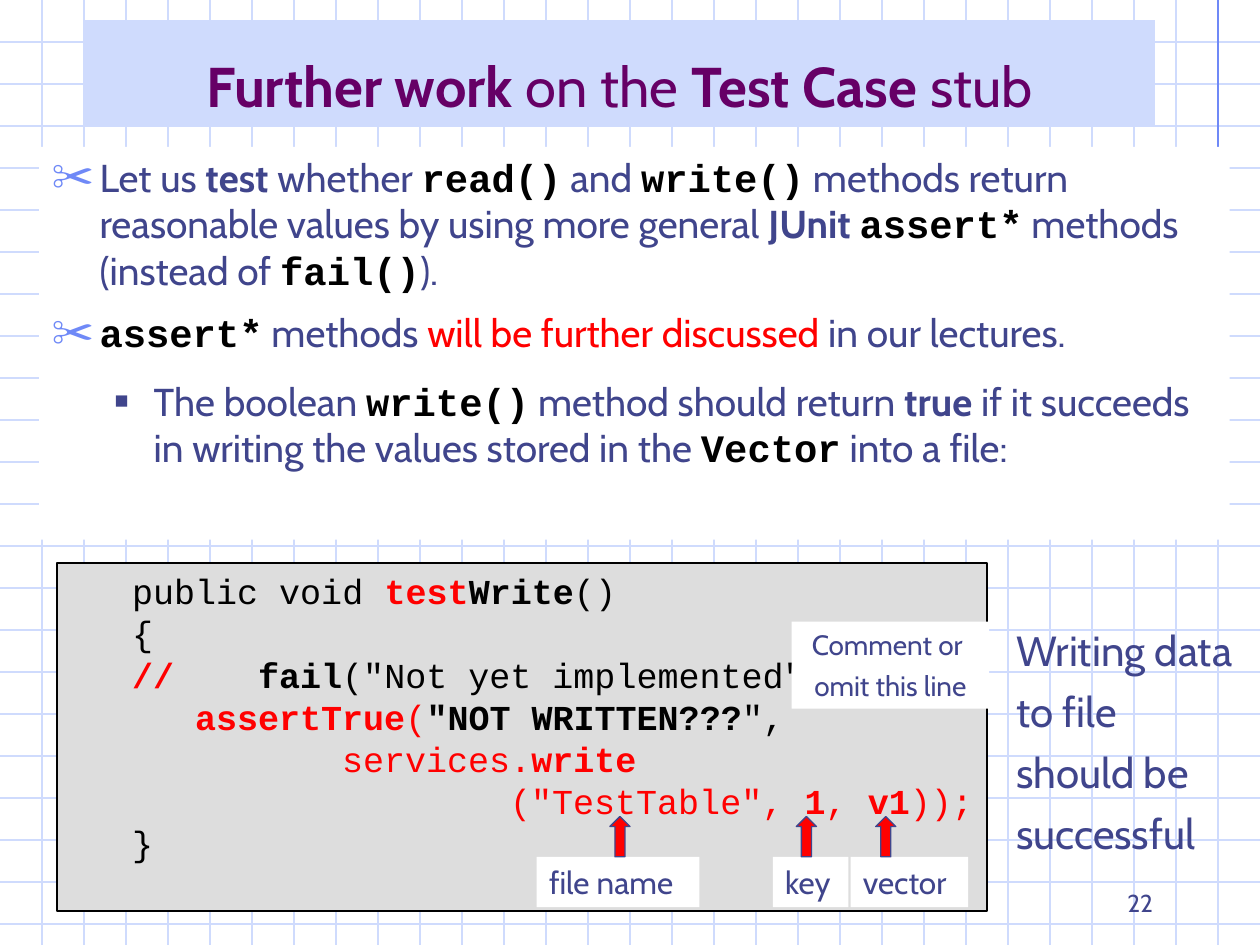
from dataclasses import dataclass
from typing import NamedTuple

from lxml.etree import SubElement
from pptx import Presentation
from pptx.dml.color import RGBColor
from pptx.enum.shapes import MSO_CONNECTOR, MSO_SHAPE
from pptx.enum.text import MSO_ANCHOR as Anchor, MSO_AUTO_SIZE, PP_ALIGN as Align
from pptx.oxml.ns import qn
from pptx.util import Inches, Pt

COLUMNS, ROWS = 30, 22.5  # squares of the notebook paper
SQUARE = 1 / 3
SANS, MONO = "Cabin", "Courier New"
INK, BLACK, RED, WHITE = "40458C", "000000", "FF0000", "FFFFFF"
PALE, BLUE, PLUM, GREY = "CFDBFD", "6F89F7", "660066", "DDDDDD"
CODE_MARGIN, CHARACTER = 0.5, 1 / 6  # inches


class Frame(NamedTuple):
    """Place and size in grid squares."""
    left: float
    top: float
    width: float
    height: float


class Span(NamedTuple):
    text: str
    color: str = INK
    bold: bool = False
    font: str = SANS


class Bullet(NamedTuple):
    sign: str
    color: str
    percent: int


@dataclass
class Line:
    spans: list[Span]
    margin: float = 0
    first: float = 0
    before: float = 0
    after: float = 0
    spacing: float = 1.0
    level: int = 0
    align: Align = Align.LEFT
    bullet: Bullet | None = None


class Label(NamedTuple):
    text: str
    left: float
    width: float
    arrow_left: float


def squares(count: float) -> int:
    return Inches(count * SQUARE)


def rgb(color: str) -> RGBColor:
    return RGBColor.from_string(color)


def bold(text: str) -> Span:
    return Span(text, bold=True)


def method(text: str) -> Span:
    return Span(text, BLACK, True, MONO)


def code(text: str, color: str = BLACK, strong: bool = False) -> Span:
    return Span(text, color, strong, MONO)


def code_line(*spans: Span, indent: int = 0, hang: int = 0) -> Line:
    """Indent and hang are counted in characters."""
    return Line(list(spans), CODE_MARGIN + (indent + hang) * CHARACTER, -hang * CHARACTER)


def point(*spans: Span, spacing: float = 1.0) -> Line:
    return Line(list(spans), 0.38, -0.38, 6, 6, spacing, bullet=Bullet("✂", BLUE, 110))


def subpoint(*spans: Span) -> Line:
    return Line(list(spans), 0.81, -0.31, 6, 6, level=1, bullet=Bullet("■", INK, 60))


def place(shape, frame: Frame) -> None:
    shape.left, shape.top, shape.width, shape.height = map(squares, frame)


def paint(shape, fill: str, line: str | None = None, width: float = 0.75) -> None:
    shape.fill.solid()
    shape.fill.fore_color.rgb = rgb(fill)
    if line:
        shape.line.color.rgb = rgb(line)
        shape.line.width = Pt(width)
    else:
        shape.line.fill.background()


def add_bullet(properties, bullet: Bullet) -> None:
    color = SubElement(properties, qn("a:buClr"))
    SubElement(color, qn("a:srgbClr"), val=bullet.color)
    SubElement(properties, qn("a:buSzPct"), val=str(bullet.percent * 1000))
    SubElement(properties, qn("a:buChar"), char=bullet.sign)


def write(shape, lines: list[Line], size: float, anchor: Anchor = Anchor.TOP,
          wrap: bool = True) -> None:
    box = shape.text_frame
    box.auto_size = MSO_AUTO_SIZE.NONE
    box.word_wrap = wrap
    box.vertical_anchor = anchor
    for index, line in enumerate(lines):
        para = box.add_paragraph() if index else box.paragraphs[0]
        para.level, para.alignment = line.level, line.align
        para.line_spacing = line.spacing
        para.space_before, para.space_after = Pt(line.before), Pt(line.after)
        properties = para._p.get_or_add_pPr()
        properties.set("marL", str(Inches(line.margin)))
        properties.set("indent", str(Inches(line.first)))
        if line.bullet:
            add_bullet(properties, line.bullet)
        for span in line.spans:
            run = para.add_run()
            run.text = span.text
            run.font.name, run.font.size = span.font, Pt(size)
            run.font.bold = span.bold
            run.font.color.rgb = rgb(span.color)


def add_rule(page, start: tuple, end: tuple, color: str) -> None:
    rule = page.shapes.add_connector(MSO_CONNECTOR.STRAIGHT, *map(squares, start + end))
    rule.line.color.rgb = rgb(color)
    rule.line.width = Pt(0.75)
    SubElement(rule._element.spPr, qn("a:effectLst"))


def add_panel(page, frame: Frame, fill: str, line: str | None = None,
              width: float = 0.75, kind: MSO_SHAPE = MSO_SHAPE.RECTANGLE):
    panel = page.shapes.add_shape(kind, *map(squares, frame))
    panel.shadow.inherit = False
    paint(panel, fill, line, width)
    return panel


def add_text(page, frame: Frame, lines: list[Line], size: float,
             anchor: Anchor = Anchor.TOP) -> None:
    write(page.shapes.add_textbox(*map(squares, frame)), lines, size, anchor)


def add_label(page, label: Label) -> None:
    panel = add_panel(page, Frame(label.left, 20.4, label.width, 1.2), WHITE)
    write(panel, [Line([Span(label.text)])], 18)
    arrow = add_panel(page, Frame(label.arrow_left, 19.44, 0.48, 0.96), RED, INK,
                      kind=MSO_SHAPE.DOWN_ARROW)
    arrow.rotation = 180


TITLE = [Line([Span("Further work", PLUM, True), Span(" on the ", PLUM),
               Span("Test Case", PLUM, True), Span(" stub", PLUM)], align=Align.CENTER)]
POINTS = [
    point(Span("Let us "), bold("test"), Span(" whether "), method("read()"), Span(" and "),
          method("write()"),
          Span(" methods return reasonable values by using more general "),
          bold("JUnit "), method("assert*"), Span(" methods (instead of "),
          method("fail()"), Span(").")),
    point(method("assert*"), Span(" methods "), Span("will be further discussed", RED),
          Span(" in our lectures."), spacing=0.9),
    subpoint(Span("The boolean "), method("write()"), Span(" method should return "),
             bold("true"), Span(" if it succeeds in writing the values stored in the "),
             method("Vector"), Span(" into a file:")),
]
LISTING = [
    code_line(code("public void "), code("test", RED, True), method("Write"), code("()")),
    code_line(code("{")),
    code_line(code("//\t", RED, True), method("fail"), code('("Not yet implemented");'), hang=6),
    code_line(code("assertTrue", RED, True), code("(", RED), method('"NOT WRITTEN???'),
              code('",'), indent=3),
    code_line(code("services.", RED), code("write", RED, True), indent=10),
    code_line(code('("TestTable", ', RED), code("1", RED, True), code(", ", RED),
              code("v1", RED, True), code("));", RED), indent=18),
    code_line(code("}")),
]
LABELS = [Label("file name", 12.78, 3.87, 14.52), Label("key", 18.4, 1.8, 18.96),
          Label("vector", 20.25, 2.8, 20.85)]
REMARK = ["Writing data", "to file", "should be", "successful"]
NOTE = ["Comment or ", "omit this line"]


def main() -> None:
    deck = Presentation()
    deck.slide_width, deck.slide_height = squares(COLUMNS), squares(ROWS)
    page = deck.slides.add_slide(deck.slide_layouts[1])
    title, body = page.placeholders

    for row in range(1, int(ROWS) + 1):
        add_rule(page, (0, row), (COLUMNS, row), PALE)
    for column in range(1, COLUMNS):
        add_rule(page, (column, 0), (column, ROWS), PALE)
    add_rule(page, (29, 0), (29, 7.75), BLUE)
    add_text(page, Frame(21.5, 20.5, 6.25, 1.5), [Line([Span("22")], align=Align.RIGHT)],
             14, Anchor.BOTTOM)

    for holder, frame, fill in ((title, Frame(2, 0.48, 25.5, 2.5), PALE),
                                (body, Frame(0.93, 3.5, 28.35, 9.35), WHITE)):
        page.shapes._spTree.append(holder._element)  # in front of the grid
        place(holder, frame)
        paint(holder, fill)
    write(title, TITLE, 32, Anchor.BOTTOM)
    write(body, POINTS, 22.2)

    listing = add_panel(page, Frame(1.35, 13.4, 22.15, 8.3), GREY, BLACK, 1)
    write(listing, LISTING, 20, wrap=False)
    add_text(page, Frame(23.9, 14.73, 6.1, 7.05),
             [Line([Span(text)], after=6) for text in REMARK], 24)
    for label in LABELS:
        add_label(page, label)
    note = add_panel(page, Frame(18.85, 14.8, 4.7, 2.07), WHITE)
    write(note, [Line([Span(text)], before=4, align=Align.CENTER) for text in NOTE], 16)
    deck.save("out.pptx")


if __name__ == "__main__":
    main()
